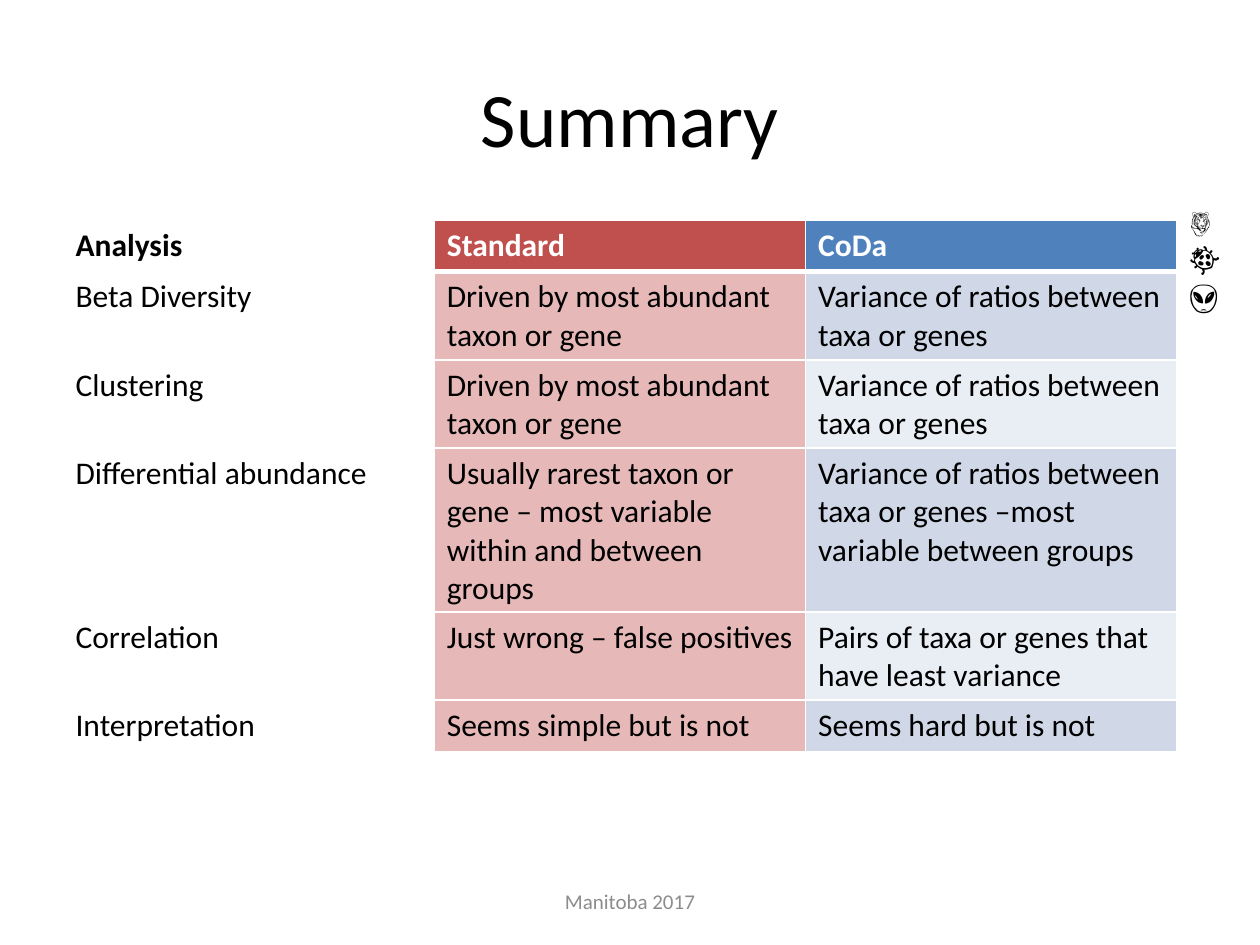
from dataclasses import dataclass

from lxml import etree
from pptx import Presentation
from pptx.dml.color import RGBColor
from pptx.enum.text import MSO_ANCHOR, PP_ALIGN
from pptx.oxml.ns import qn
from pptx.util import Pt

LEFT, CENTER = PP_ALIGN.LEFT, PP_ALIGN.CENTER
TOP, MIDDLE = MSO_ANCHOR.TOP, MSO_ANCHOR.MIDDLE


@dataclass(frozen=True)
class Theme:
    font: str = "Calibri"
    title_size: int = 44
    body_size: int = 18
    footer_size: int = 12
    black: str = "000000"
    white: str = "FFFFFF"
    gray: str = "8C8C8C"
    header_fills: tuple[str, ...] = ("FFFFFF", "C0504D", "4F81BD")
    standard_fill: str = "E6B9B8"
    coda_bands: tuple[str, ...] = ("D0D8E8", "E9EDF4")
    thin_border: int = 1
    thick_border: int = 3


@dataclass(frozen=True)
class TextBlock:
    lines: tuple[str, ...]
    left: float
    top: float
    width: float
    height: float
    size: int
    color: str
    alignment: PP_ALIGN = CENTER
    anchor: MSO_ANCHOR = MIDDLE


@dataclass(frozen=True)
class Comparison:
    analysis: str
    standard: str
    coda: str


THEME = Theme()

TITLE = TextBlock(("Summary",), 36, 21.6, 648, 90, THEME.title_size, THEME.black)
FOOTER = TextBlock(("Manitoba 2017",), 246, 500.5, 228, 28.75,
                   THEME.footer_size, THEME.gray)
ICONS = TextBlock(("🐯", "🐞", "👽"), 672.5, 111.6, 38.9, 72.7,
                  THEME.body_size, THEME.black, LEFT, TOP)

DRIVEN = "Driven by most abundant taxon or gene"
RATIOS = "Variance of ratios between taxa or genes"
COMPARISONS = (
    Comparison("Analysis", "Standard", "CoDa"),
    Comparison("Beta Diversity", DRIVEN, RATIOS),
    Comparison("Clustering", DRIVEN, RATIOS),
    Comparison("Differential abundance",
               "Usually rarest taxon or gene – most variable within and between groups",
               f"{RATIOS} –most variable between groups"),
    Comparison("Correlation", "Just wrong – false positives",
               "Pairs of taxa or genes that have least variance"),
    Comparison("Interpretation", "Seems simple but is not", "Seems hard but is not"),
)
TABLE_LEFT, TABLE_TOP = 36, 126
COLUMN_WIDTH, ROW_HEIGHT = 212.2, 29.2


def style_paragraph(paragraph, size: int, color: str, bold: bool = False) -> None:
    font = paragraph.font
    font.name, font.size, font.bold = THEME.font, Pt(size), bold
    font.color.rgb = RGBColor.from_string(color)


def add_text(slide, block: TextBlock) -> None:
    shape = slide.shapes.add_textbox(Pt(block.left), Pt(block.top),
                                     Pt(block.width), Pt(block.height))
    frame = shape.text_frame
    frame.word_wrap = True
    frame.vertical_anchor = block.anchor
    frame.text = "\n".join(block.lines)
    for paragraph in frame.paragraphs:
        paragraph.alignment = block.alignment
        style_paragraph(paragraph, block.size, block.color)


def set_borders(cell, top: int, bottom: int) -> None:
    properties = cell._tc.get_or_add_tcPr()
    widths = {"lnL": THEME.thin_border, "lnR": THEME.thin_border,
              "lnT": top, "lnB": bottom}
    # Border lines come before the fill in the cell properties
    for index, (side, width) in enumerate(widths.items()):
        line = etree.Element(qn(f"a:{side}"), w=str(Pt(width)))
        fill = etree.SubElement(line, qn("a:solidFill"))
        etree.SubElement(fill, qn("a:srgbClr"), val=THEME.white)
        properties.insert(index, line)


def add_comparison_table(slide, comparisons: tuple[Comparison, ...]) -> None:
    row_count, column_count = len(comparisons), len(THEME.header_fills)
    table = slide.shapes.add_table(
        row_count, column_count, Pt(TABLE_LEFT), Pt(TABLE_TOP),
        Pt(COLUMN_WIDTH * column_count), Pt(ROW_HEIGHT * row_count)).table
    table.horz_banding = False
    for column in table.columns:
        column.width = Pt(COLUMN_WIDTH)

    for row_index, comparison in enumerate(comparisons):
        table.rows[row_index].height = Pt(ROW_HEIGHT)
        is_header = row_index == 0
        body_fills = (THEME.white, THEME.standard_fill,
                      THEME.coda_bands[(row_index - 1) % 2])
        fills = THEME.header_fills if is_header else body_fills
        texts = (comparison.analysis, comparison.standard, comparison.coda)
        for column_index, (text, fill) in enumerate(zip(texts, fills)):
            cell = table.cell(row_index, column_index)
            cell.text = text
            cell.fill.solid()
            cell.fill.fore_color.rgb = RGBColor.from_string(fill)
            color = THEME.white if is_header and column_index else THEME.black
            style_paragraph(cell.text_frame.paragraphs[0], THEME.body_size,
                            color, is_header)
            set_borders(cell,
                        THEME.thick_border if row_index == 1 else THEME.thin_border,
                        THEME.thick_border if is_header else THEME.thin_border)


def main() -> None:
    presentation = Presentation()
    presentation.slide_width, presentation.slide_height = Pt(720), Pt(540)
    slide = presentation.slides.add_slide(presentation.slide_layouts[6])

    # Title, comparison table, then footer and icons
    add_text(slide, TITLE)
    add_comparison_table(slide, COMPARISONS)
    add_text(slide, FOOTER)
    add_text(slide, ICONS)

    presentation.save("out.pptx")


if __name__ == "__main__":
    main()
